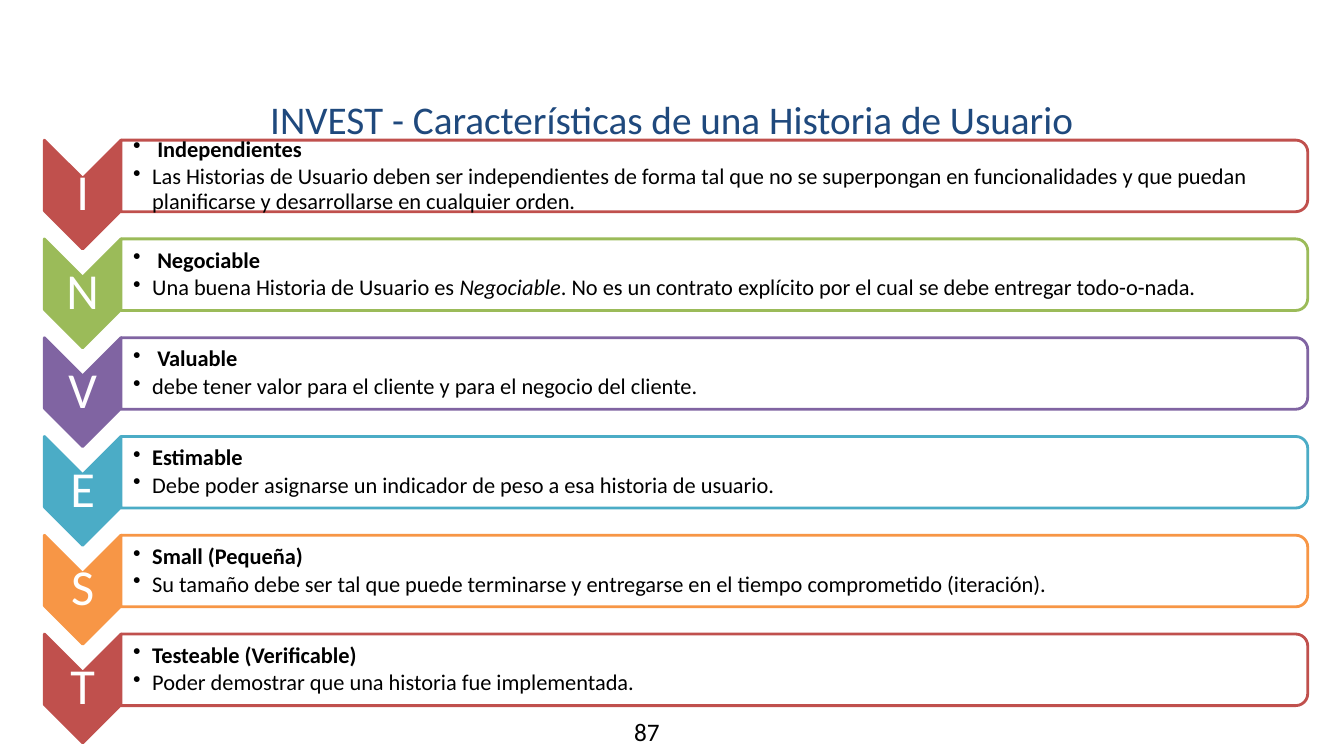
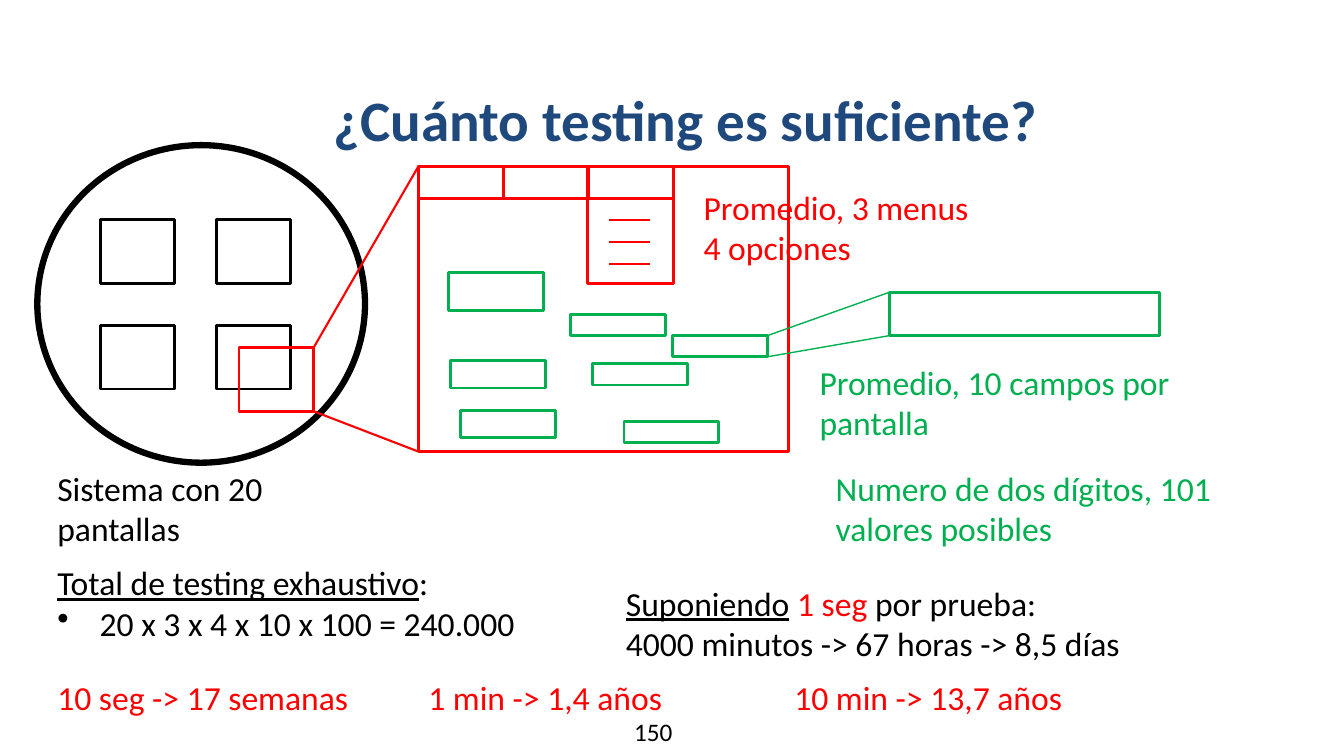
import dataclasses

import lxml.etree
import pptx
import pptx.dml.color
import pptx.enum.shapes
import pptx.enum.text
import pptx.oxml.ns
import pptx.util

SHAPES = pptx.enum.shapes.MSO_SHAPE
ALIGN = pptx.enum.text.PP_ALIGN
ANCHOR = pptx.enum.text.MSO_ANCHOR
CELL = pptx.util.Inches(0.1)  # side of one grid square; the slide has 75 rows


@dataclasses.dataclass(frozen=True)
class Theme:
    font: str = "Calibri"
    title: str = "1F497D"
    ink: str = "000000"
    paper: str = "FFFFFF"
    red: str = "FF0000"
    green: str = "00B050"
    accents: tuple = ("C0504D", "9BBB59", "8064A2", "4BACC6", "F79646", "C0504D")
    letter_size: float = 36
    note_size: float = 24
    number_size: float = 18
    detail_size: float = 16
    outline: float = 2
    zoom_line: float = 1.5
    thin_line: float = 1
    system_line: float = 4.5


THEME = Theme()


@dataclasses.dataclass(frozen=True)
class Box:
    """A rectangle measured in grid squares."""
    left: float
    top: float
    width: float
    height: float

    @property
    def right(self):
        return self.left + self.width

    @property
    def bottom(self):
        return self.top + self.height

    def inner(self, x, y, width, height):
        return Box(self.left + x, self.top + y, width, height)

    def turned(self):
        """The box that covers this one after a quarter turn."""
        shift = (self.width - self.height) / 2
        return Box(self.left + shift, self.top - shift, self.height, self.width)

    def lengths(self):
        return [cells(value) for value in dataclasses.astuple(self)]


def cells(value):
    return pptx.util.Emu(round(value * CELL))


def rgb(value):
    return pptx.dml.color.RGBColor.from_string(value)


# Drawing helpers

def add_outline(slide, kind, box, color, width=THEME.outline, fill=None, turn=False):
    area = box.turned() if turn else box
    shape = slide.shapes.add_shape(kind, *area.lengths())
    shape.rotation = 90 if turn else 0
    shape.shadow.inherit = False
    if fill:
        shape.fill.solid()
        shape.fill.fore_color.rgb = rgb(fill)
    else:
        shape.fill.background()
    shape.line.color.rgb = rgb(color)
    shape.line.width = pptx.util.Pt(width)


def add_line(slide, start, end, color, width):
    ends = [cells(value) for value in (*start, *end)]
    line = slide.shapes.add_connector(pptx.enum.shapes.MSO_CONNECTOR.STRAIGHT, *ends)
    line.line.color.rgb = rgb(color)
    line.line.width = pptx.util.Pt(width)
    properties = line._element.spPr
    lxml.etree.SubElement(properties, pptx.oxml.ns.qn("a:effectLst"))


def add_zoom(slide, source, target, color, width):
    """Join the right corners of one box to the left corners of another."""
    add_line(slide, (source.right, source.top), (target.left, target.top), color, width)
    add_line(slide, (source.right, source.bottom), (target.left, target.bottom), color, width)


def set_font(font, size, color, bold=False):
    font.name = THEME.font
    font.size = pptx.util.Pt(size)
    font.color.rgb = rgb(color)
    font.bold = bold


def set_bullet(paragraph, indent):
    properties = paragraph._p.get_or_add_pPr()
    properties.set("marL", str(cells(indent)))
    properties.set("indent", str(-cells(indent)))
    bullet = lxml.etree.SubElement(properties, pptx.oxml.ns.qn("a:buChar"))
    bullet.set("char", "•")


@dataclasses.dataclass(frozen=True)
class Line:
    """One paragraph: its runs are (text, font settings) pairs."""
    runs: tuple
    bullet: float = 0
    bold: bool = False


def plain(text, **settings):
    return Line(((text, {}),), **settings)


def add_text(slide, box, lines, size, color, inset=(1, 0.5), anchor=ANCHOR.TOP,
             align=ALIGN.LEFT, spacing=None, after=0):
    frame = slide.shapes.add_textbox(*box.lengths()).text_frame
    frame.word_wrap = True
    frame.vertical_anchor = anchor
    frame.margin_left = frame.margin_right = cells(inset[0])
    frame.margin_top = frame.margin_bottom = cells(inset[1])
    for index, line in enumerate(lines):
        paragraph = frame.add_paragraph() if index else frame.paragraphs[0]
        if line.bullet:
            set_bullet(paragraph, line.bullet)
        paragraph.alignment = align
        paragraph.line_spacing = spacing
        paragraph.space_after = pptx.util.Pt(after)
        set_font(paragraph.font, size, color, line.bold)
        for text, settings in line.runs:
            run = paragraph.add_run()
            run.text = text
            run.font.underline = settings.get("underline")
            run.font.italic = settings.get("italic")
            if "color" in settings:
                run.font.color.rgb = rgb(settings["color"])


def add_note(slide, box, *lines, color=THEME.ink):
    lines = [plain(line) if isinstance(line, str) else line for line in lines]
    add_text(slide, box, lines, THEME.note_size, color)


def add_titled_slide(presentation, title, number, box, size, bold=False):
    slide = presentation.slides.add_slide(presentation.slide_layouts[5])
    shape = slide.shapes.title
    shape.left, shape.top, shape.width, shape.height = box.lengths()
    frame = shape.text_frame
    frame.text = title
    frame.auto_size = pptx.enum.text.MSO_AUTO_SIZE.NONE
    frame.vertical_anchor = ANCHOR.TOP
    frame.margin_left = frame.margin_right = frame.margin_top = frame.margin_bottom = 0
    frame.paragraphs[0].alignment = ALIGN.CENTER
    set_font(frame.paragraphs[0].font, size, THEME.title, bold)
    add_text(slide, Box(61.9, 70.6, 6.4, 4), [plain(number)], THEME.number_size, THEME.ink)
    return slide


# INVEST slide

BULLET, WIDE_BULLET = 1.9, 2.4
TRAITS = [
    ("I", "Independientes", WIDE_BULLET, plain(
        "Las Historias de Usuario deben ser independientes de forma tal que no se superpongan "
        "en funcionalidades y que puedan planificarse y desarrollarse en cualquier orden.",
        bullet=BULLET)),
    ("N", "Negociable", WIDE_BULLET, Line((
        ("Una buena Historia de Usuario es ", {}),
        ("Negociable", {"italic": True}),
        (". No es un contrato explícito por el cual se debe entregar todo-o-nada.", {}),
    ), bullet=BULLET)),
    ("V", "Valuable", WIDE_BULLET, plain(
        "debe tener valor para el cliente y para el negocio del cliente.", bullet=BULLET)),
    ("E", "Estimable", BULLET, plain(
        "Debe poder asignarse un indicador de peso a esa historia de usuario.", bullet=BULLET)),
    ("S", "Small (Pequeña)", BULLET, plain(
        "Su tamaño debe ser tal que puede terminarse y entregarse en el tiempo "
        "comprometido (iteración).", bullet=BULLET)),
    ("T", "Testeable (Verificable)", BULLET, plain(
        "Poder demostrar que una historia fue implementada.", bullet=BULLET)),
]


def add_trait(slide, box, color, letter, name, name_indent, detail):
    chevron = box.inner(0, 0, 7.6, box.height)
    panel = box.inner(7.6, 0, box.width - 7.6, 7.1)
    add_outline(slide, SHAPES.CHEVRON, chevron, color, fill=color, turn=True)
    add_text(slide, chevron, [plain(letter)], THEME.letter_size, THEME.paper, (0.3, 0.3),
             ANCHOR.MIDDLE, ALIGN.CENTER, 0.9)
    add_outline(slide, SHAPES.ROUND_2_SAME_RECTANGLE, panel, color, fill=THEME.paper, turn=True)
    heading = plain(name, bullet=name_indent, bold=True)
    add_text(slide, panel, [heading, detail], THEME.detail_size, THEME.ink, (1.2, 0.1),
             ANCHOR.MIDDLE, spacing=0.9, after=2.4)


def build_invest(presentation):
    slide = add_titled_slide(presentation, "INVEST - Características de una Historia de Usuario",
                             "87", Box(1, 9.5, 131.2, 4.7), 28)
    area = Box(4.4, 13.9, 125.3, 59.8)
    row_step = 9.8
    for row, (color, trait) in enumerate(zip(THEME.accents, TRAITS)):
        add_trait(slide, area.inner(0, row * row_step, area.width, 10.8), color, *trait)


# Testing slide

def add_system(slide, box):
    """Draw the system with its screens; return the screen that is enlarged."""
    add_outline(slide, SHAPES.OVAL, box, THEME.ink, THEME.system_line)
    for row in range(2):
        for column in range(2):
            screen = box.inner(6.3 + 11.5 * column, 7.4 + 10.5 * row, 7.3, 6.3)
            add_outline(slide, SHAPES.RECTANGLE, screen, THEME.ink)
    chosen = box.inner(20, 20.1, 7.4, 6.3)
    add_outline(slide, SHAPES.RECTANGLE, chosen, THEME.red)
    return chosen


def add_window(slide, box):
    """Draw the enlarged screen; return its field that is enlarged."""
    menu_step, menu_width, menu_height = 8.4, 8.5, 3.2
    menus = [box.inner(menu_step * i, 0, menu_width, menu_height) for i in range(3)]
    dropdown = menus[-1].inner(0, menu_height, menu_width, 8.4)
    for part in (box, *menus, dropdown):
        add_outline(slide, SHAPES.RECTANGLE, part, THEME.red)
    for option in range(3):
        line = dropdown.inner(2.1, 2.1 + 2.2 * option, 4.1, 0)
        add_line(slide, (line.left, line.top), (line.right, line.top), THEME.red, THEME.zoom_line)
    # Field left, top and height
    fields = [box.inner(x, y, 9.4, height) for x, y, height in (
        (3, 10.5, 3.8), (3.2, 19.3, 2.7), (15.1, 14.7, 2.1), (17.3, 19.6, 2.1),
        (4.2, 24.2, 2.7), (20.4, 25.3, 2.1), (25.2, 16.8, 2.1))]
    for field in fields:
        add_outline(slide, SHAPES.RECTANGLE, field, THEME.green)
    return fields[-1]


def add_totals(slide, box):
    """Write the sums and the durations below the diagram."""
    add_note(slide, box.inner(0, 0, 54, 9.1),
             Line((("Total de testing exhaustivo", {"underline": True}), (":", {}))),
             plain("20 x 3 x 4 x 10 x 100 = 240.000", bullet=4.2))
    add_note(slide, box.inner(56.4, 2, 54, 9.1),
             Line((("Suponiendo", {"underline": True}), (" ", {}),
                   ("1 seg ", {"color": THEME.red}), ("por prueba:", {}))),
             "4000 minutos -> 67 horas -> 8,5 días")
    for left, duration in ((0, "10 seg -> 17 semanas"), (36.8, "1 min -> 1,4 años"),
                           (73.1, "10 min -> 13,7 años")):
        add_note(slide, box.inner(left, 11.4, 33, 5), duration, color=THEME.red)


def build_testing(presentation):
    slide = add_titled_slide(presentation, "¿Cuánto testing es suficiente?", "150",
                             Box(2.4, 8.4, 131.2, 4.7), 40.8, bold=True)
    window = Box(41.5, 16.5, 36.7, 28.3)
    value = Box(88.2, 29, 26.8, 4.3)
    # Diagram: system, one screen, one field
    screen = add_system(slide, Box(3.7, 14.4, 32.5, 31.5))
    add_zoom(slide, screen, window, THEME.red, THEME.zoom_line)
    field = add_window(slide, window)
    add_outline(slide, SHAPES.RECTANGLE, value, THEME.green)
    add_zoom(slide, field, value, THEME.green, THEME.thin_line)
    # Notes
    add_note(slide, Box(4.7, 45.9, 26.4, 9.1), "Sistema con 20 pantallas")
    add_note(slide, Box(68.8, 18, 38.8, 9.1), "Promedio, 3 menus", "4 opciones", color=THEME.red)
    add_note(slide, Box(80.3, 35.4, 46, 9.1), "Promedio, 10 campos por pantalla",
             color=THEME.green)
    add_note(slide, Box(81.9, 45.9, 46, 9.1), "Numero de dos dígitos, 101 valores posibles",
             color=THEME.green)
    add_totals(slide, Box(4.7, 55.3, 115, 16.5))


def main():
    presentation = pptx.Presentation()
    presentation.slide_width = pptx.util.Inches(13.33)
    presentation.slide_height = pptx.util.Inches(7.5)
    build_invest(presentation)
    build_testing(presentation)
    presentation.save("out.pptx")


if __name__ == "__main__":
    main()
